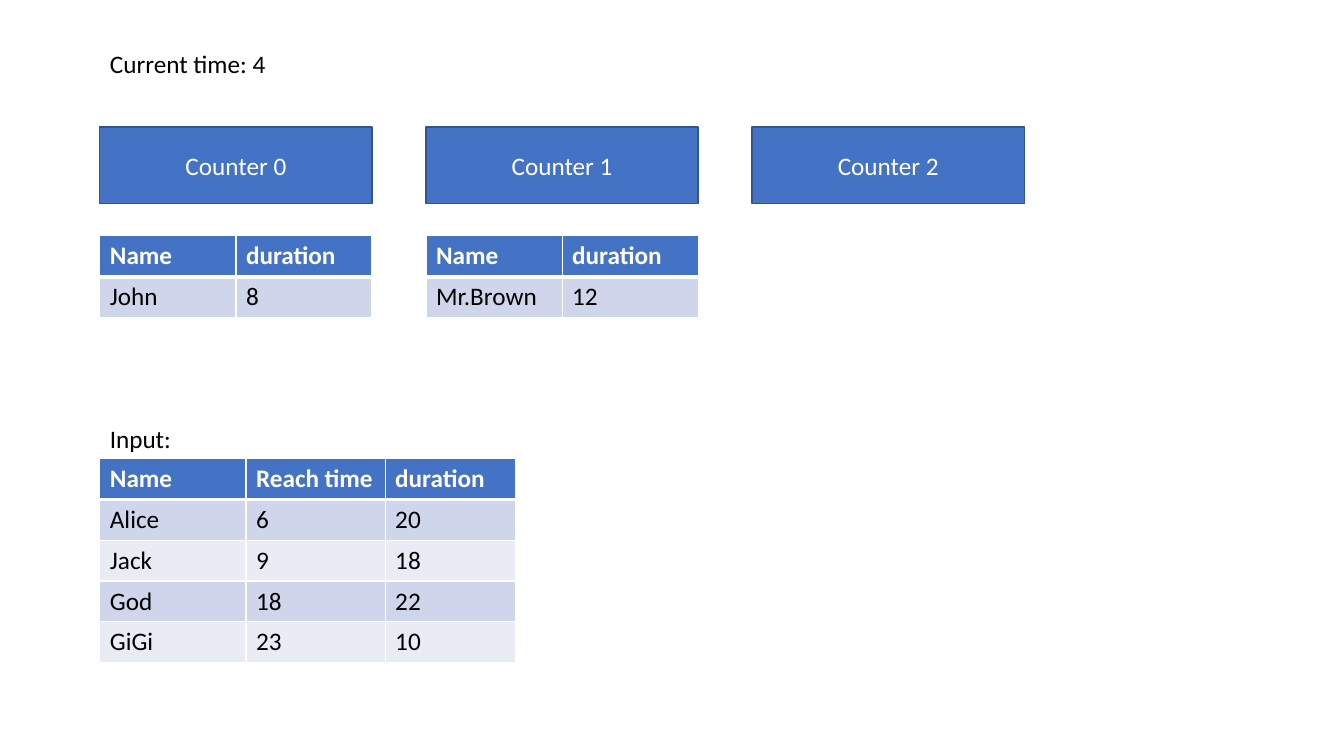
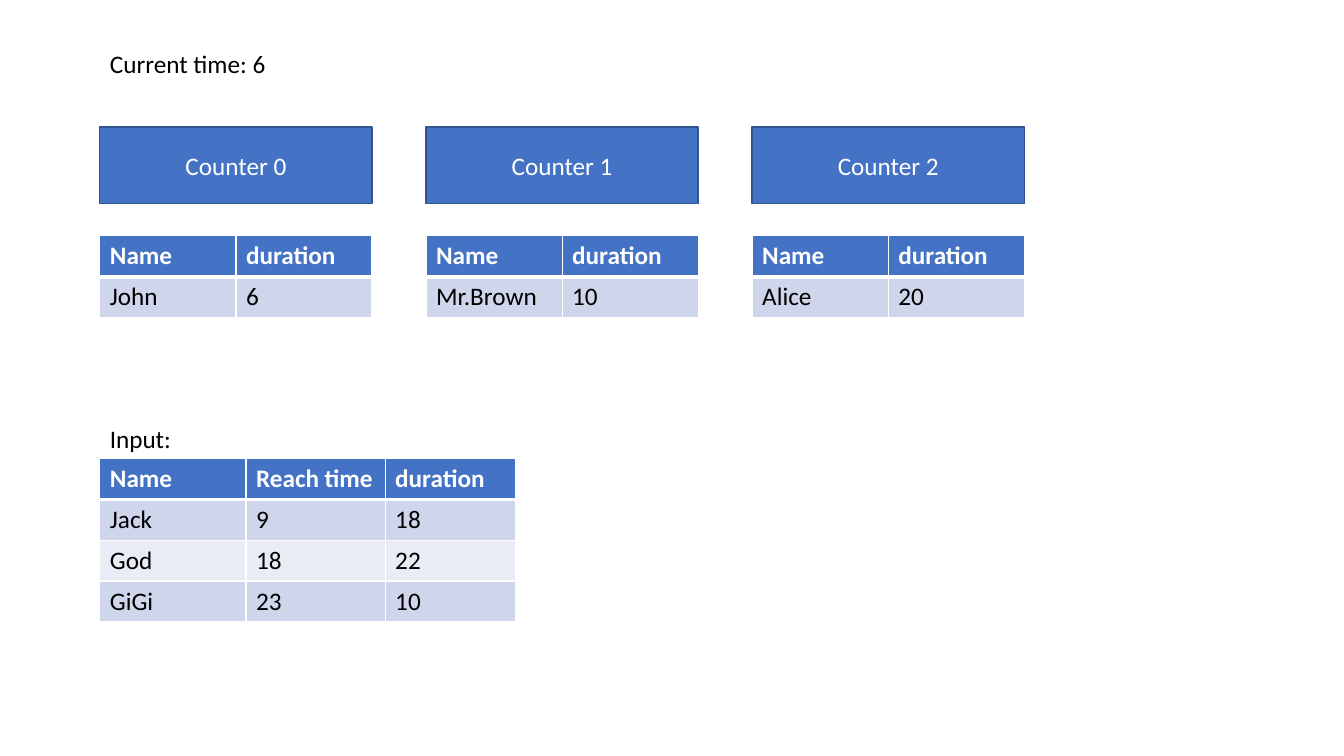
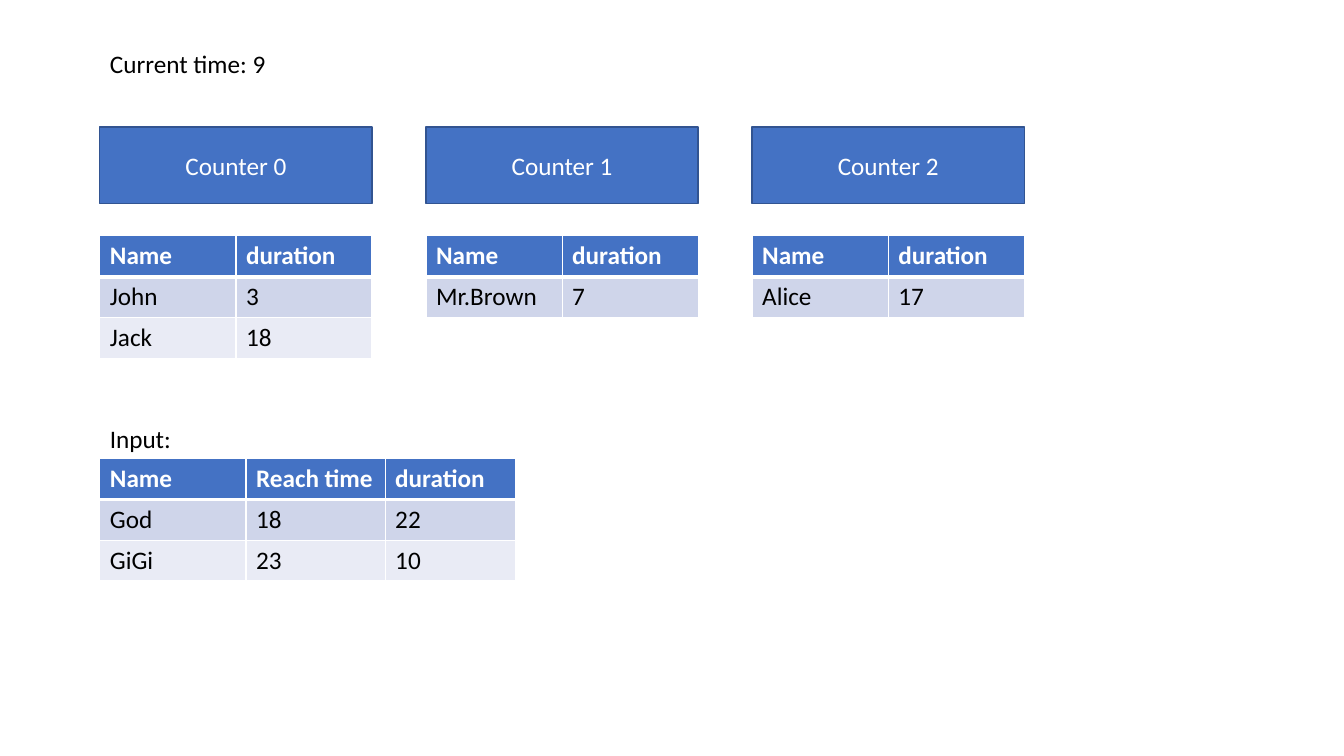
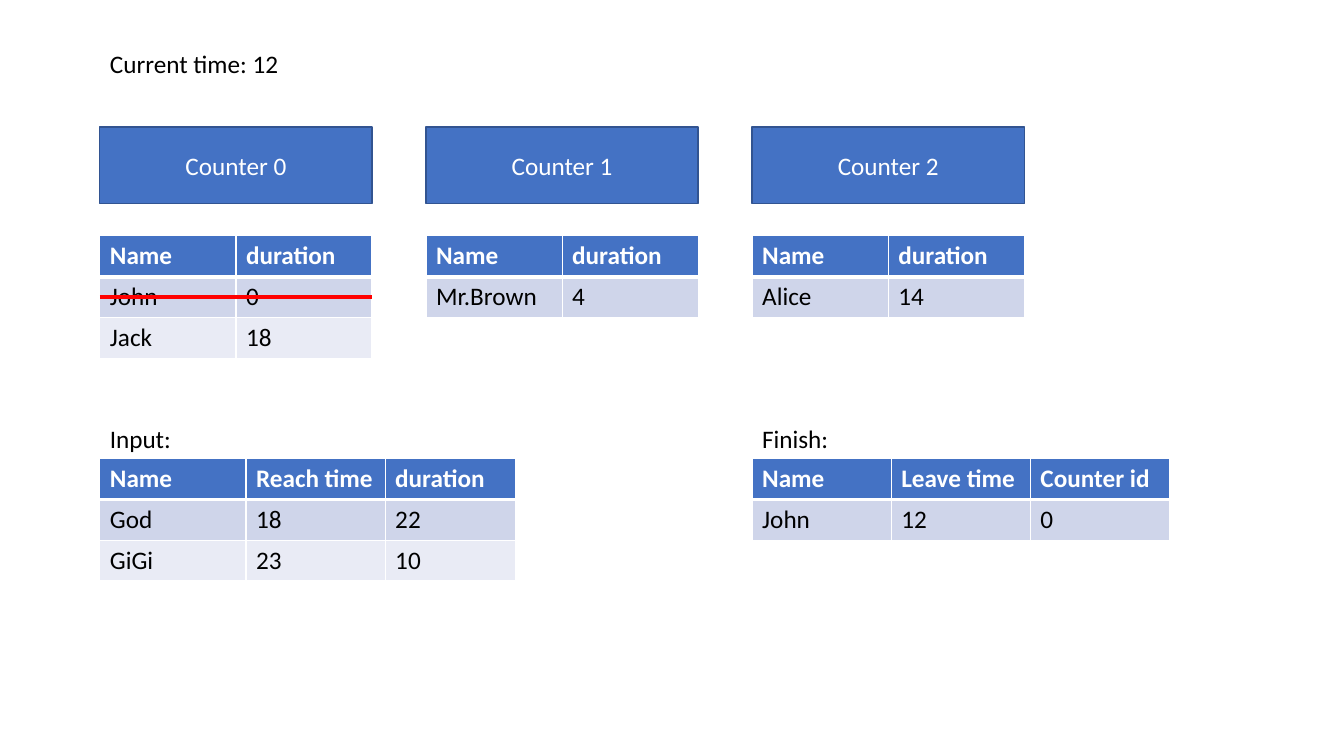
from lxml.etree import SubElement
from pptx import Presentation
from pptx.dml.color import RGBColor
from pptx.enum.shapes import MSO_CONNECTOR, MSO_SHAPE
from pptx.enum.text import MSO_ANCHOR, MSO_AUTO_SIZE, PP_ALIGN
from pptx.oxml.ns import qn
from pptx.util import Inches, Pt

BLUE = RGBColor(0x44, 0x72, 0xC4)
DARK_BLUE = RGBColor(0x32, 0x54, 0x91)
BAND_DARK = RGBColor(0xCF, 0xD5, 0xEA)
BAND_LIGHT = RGBColor(0xE9, 0xEB, 0xF5)
WHITE = RGBColor(0xFF, 0xFF, 0xFF)
BLACK = RGBColor(0x00, 0x00, 0x00)
RED = RGBColor(0xFF, 0x00, 0x00)

LEFT = Inches(0.99)
RIGHT = Inches(7.46)
PITCH = (RIGHT - LEFT) // 2
COUNTER_W = Inches(2.7)
QUEUE_TOP = Inches(2.34)
LABEL_TOP = Inches(4.15)
LIST_TOP = Inches(4.55)
LABEL_H = Inches(0.4)
ROW_H = Inches(0.81) // 2


def write(tf, text, color=BLACK, bold=False, align=PP_ALIGN.LEFT):
    p = tf.paragraphs[0]
    p.alignment = align
    r = p.add_run()
    r.text = text
    r.font.name = "Calibri"
    r.font.size = Pt(18)
    r.font.bold = bold
    r.font.color.rgb = color


class Deck:
    def __init__(self):
        self.prs = Presentation()
        self.prs.slide_width = Inches(13.33)
        self.prs.slide_height = Inches(7.5)
        self.s = None

    def slide(self):
        self.s = self.prs.slides.add_slide(self.prs.slide_layouts[5])

    def fit_text(self, sp, text):
        tf = sp.text_frame
        tf.word_wrap = False
        tf.auto_size = MSO_AUTO_SIZE.SHAPE_TO_FIT_TEXT
        tf.vertical_anchor = MSO_ANCHOR.TOP
        write(tf, text)

    def title(self, text, width):
        sp = self.s.shapes.title
        sp.left, sp.top = LEFT, Inches(0.43)
        sp.width, sp.height = width, LABEL_H
        self.fit_text(sp, text)

    def label(self, text, left, width):
        sp = self.s.shapes.add_textbox(left, LABEL_TOP, width, LABEL_H)
        self.fit_text(sp, text)

    def counter(self, text, left):
        sp = self.s.shapes.add_shape(
            MSO_SHAPE.RECTANGLE, left, Inches(1.26), COUNTER_W, Inches(0.76))
        sp.shadow.inherit = False
        sp.fill.solid()
        sp.fill.fore_color.rgb = BLUE
        sp.line.color.rgb = DARK_BLUE
        sp.line.width = Pt(1)
        sp.text_frame.vertical_anchor = MSO_ANCHOR.MIDDLE
        write(sp.text_frame, text, color=WHITE, align=PP_ALIGN.CENTER)

    def borders(self, cell, top, bottom):
        tc_pr = cell._tc.get_or_add_tcPr()
        for side, width in (("L", 1), ("R", 1), ("T", top), ("B", bottom)):
            ln = SubElement(tc_pr, qn(f"a:ln{side}"), w=str(Pt(width)))
            fill = SubElement(ln, qn("a:solidFill"))
            SubElement(fill, qn("a:srgbClr"), val=str(WHITE))

    def table(self, left, top, widths, rows):
        table = self.s.shapes.add_table(
            len(rows), len(widths), left, top, sum(widths), ROW_H * len(rows)).table
        for column, width in zip(table.columns, widths):
            column.width = width
        for i, row in enumerate(rows):
            header = i == 0
            band = BLUE if header else BAND_DARK if i % 2 else BAND_LIGHT
            table.rows[i].height = ROW_H
            for j, value in enumerate(row):
                cell = table.cell(i, j)
                self.borders(cell, top=3 if i == 1 else 1, bottom=3 if header else 1)
                cell.fill.solid()
                cell.fill.fore_color.rgb = band
                write(cell.text_frame, str(value),
                      color=WHITE if header else BLACK, bold=header)

    def strike(self, left, y, width):
        line = self.s.shapes.add_connector(
            MSO_CONNECTOR.STRAIGHT, left, y, left + width, y)
        line.line.color.rgb = RED
        line.line.width = Pt(3)
        SubElement(line._element.spPr, qn("a:effectLst"))


QUEUE_COLS = [COUNTER_W // 2] * 2
INPUT_COLS = [Inches(1.45), Inches(1.38), Inches(1.29)]
FINISH_COLS = [Inches(1.38)] * 3

QUEUE_HEAD = ("Name", "duration")
INPUT_HEAD = ("Name", "Reach time", "duration")
FINISH_HEAD = ("Name", "Leave time", "Counter id")

ARRIVALS = [("Alice", 6, 20), ("Jack", 9, 18), ("God", 18, 22), ("GiGi", 23, 10)]

STEPS = [
    (4, [[("John", 8)], [("Mr.Brown", 12)], []]),
    (6, [[("John", 6)], [("Mr.Brown", 10)], [("Alice", 20)]]),
    (9, [[("John", 3), ("Jack", 18)], [("Mr.Brown", 7)], [("Alice", 17)]]),
    (12, [[("John", 0), ("Jack", 18)], [("Mr.Brown", 4)], [("Alice", 14)]]),
]

deck = Deck()
for time, queues in STEPS:
    deck.slide()
    deck.title(f"Current time: {time}", Inches(1.65 + 0.12 * len(str(time))))
    for i, queue in enumerate(queues):
        left = LEFT + i * PITCH
        deck.counter(f"Counter {i}", left)
        if queue:
            deck.table(left, QUEUE_TOP, QUEUE_COLS, [QUEUE_HEAD, *queue])
    deck.label("Input: ", LEFT, Inches(0.88))
    waiting = [arrival for arrival in ARRIVALS if arrival[1] > time]
    deck.table(LEFT, LIST_TOP, INPUT_COLS, [INPUT_HEAD, *waiting])

deck.strike(LEFT, Inches(2.95), COUNTER_W)
deck.label("Finish: ", RIGHT, Inches(0.92))
deck.table(RIGHT, LIST_TOP, FINISH_COLS, [FINISH_HEAD, ("John", 12, 0)])

deck.prs.save("out.pptx")
